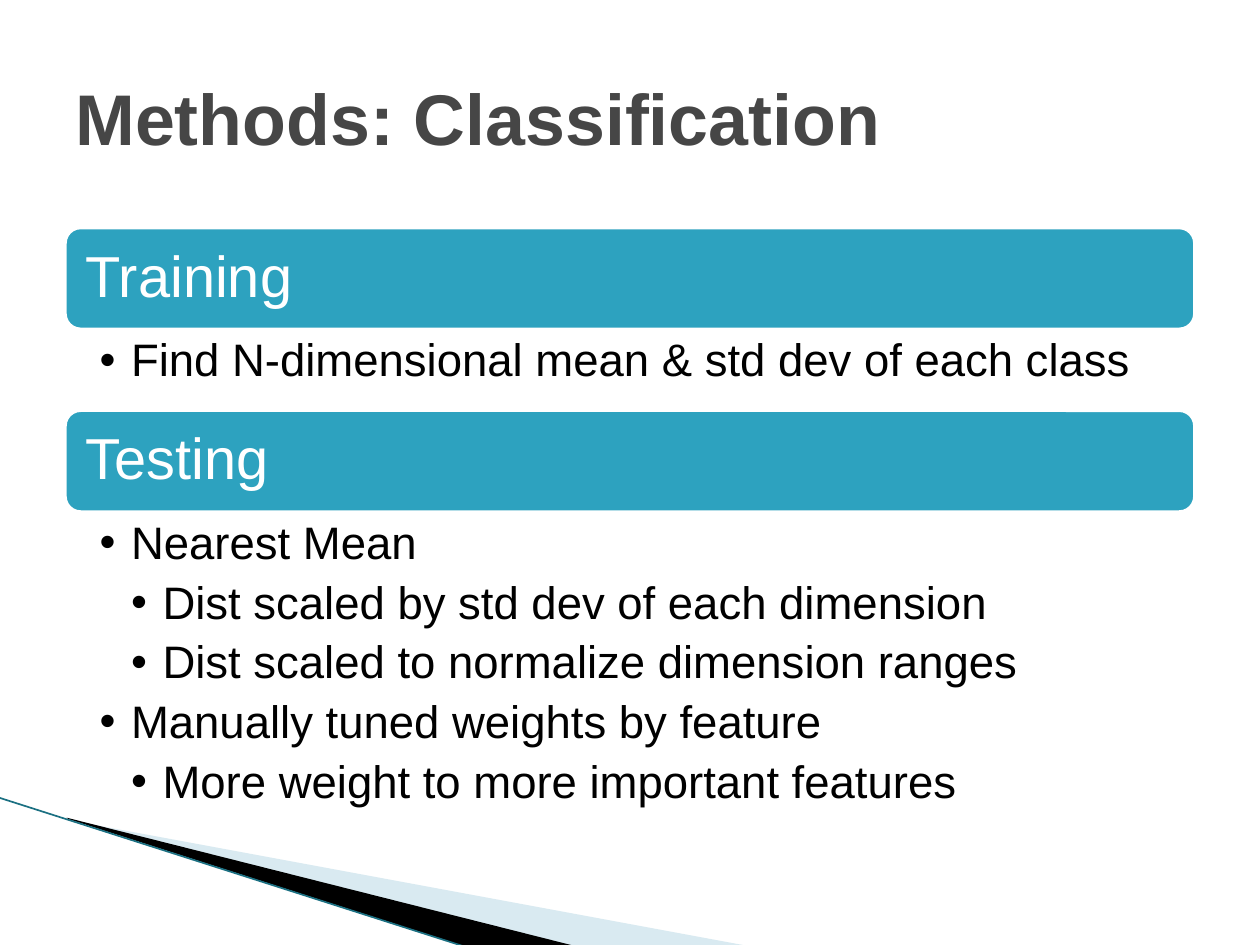
"""Build the classification methods slide with training and testing sections."""
from lxml import etree
from pptx import Presentation
from pptx.dml.color import RGBColor
from pptx.enum import shapes, text
from pptx.oxml.ns import qn
from pptx.util import Inches, Pt

WHITE = RGBColor(0xFF, 0xFF, 0xFF)
BLACK = RGBColor(0, 0, 0)
GRAY = RGBColor(0x46, 0x46, 0x46)
TEAL = RGBColor(0x2D, 0xA2, 0xBF)
DARK_TEAL = RGBColor(0x1B, 0x70, 0x82)
PALE_BLUE = RGBColor(0xA0, 0xCB, 0xDC)

LEFT, WIDTH, BAR_HEIGHT = Inches(0.5), Inches(9), Inches(0.84)
INDENT = Inches(0.25)


def style_text(paragraph, size, color, bold=False):
    font = paragraph.runs[0].font
    font.name = "Arial"
    font.size = Pt(size)
    font.bold = bold
    font.color.rgb = color


def set_margins(frame, left, right, vertical):
    frame.word_wrap = True
    frame.margin_left, frame.margin_right = Inches(left), Inches(right)
    frame.margin_top = frame.margin_bottom = Inches(vertical)


presentation = Presentation()
presentation.slide_width = Inches(10)
presentation.slide_height = Inches(7.5)
slide = presentation.slides.add_slide(presentation.slide_layouts[6])

wedges = [
    (PALE_BLUE, 40, [(0.55, 6.51), (5.95, 7.51), (4.56, 7.51), (0.55, 6.5)]),
    (BLACK, 100, [(0.53, 6.49), (4.57, 7.51), (3.72, 7.52), (0.54, 6.5)]),
]
for color, opacity, points in wedges:
    corners = [(Inches(x), Inches(y)) for x, y in points]
    builder = slide.shapes.build_freeform(*corners[0])
    builder.add_line_segments(corners[1:], close=True)
    wedge = builder.convert_to_shape()
    wedge.shadow.inherit = False
    wedge.fill.solid()
    wedge.fill.fore_color.rgb = color
    wedge.line.fill.background()
    if opacity < 100:
        fill_color = wedge._element.spPr.find(qn("a:solidFill"))[0]
        etree.SubElement(fill_color, qn("a:alpha"), val=str(opacity * 1000))

edge = slide.shapes.add_connector(
    shapes.MSO_CONNECTOR.STRAIGHT,
    Inches(-0.01), Inches(6.33), Inches(3.71), Inches(7.52))
edge.line.color.rgb = DARK_TEAL
edge.line.width = Pt(0.95)
etree.SubElement(edge._element.spPr, qn("a:effectLst"))

sections = [
    ("Training", 1.79, 0.6, [
        (1, "Find N-dimensional mean & std dev of each class"),
    ]),
    ("Testing", 3.24, 2.32, [
        (1, "Nearest Mean"),
        (2, "Dist scaled by std dev of each dimension"),
        (2, "Dist scaled to normalize dimension ranges"),
        (1, "Manually tuned weights by feature"),
        (2, "More weight to more important features"),
    ]),
]
for heading, top, body_height, items in sections:
    bar = slide.shapes.add_shape(
        shapes.MSO_SHAPE.ROUNDED_RECTANGLE, LEFT, Inches(top), WIDTH, BAR_HEIGHT)
    bar.shadow.inherit = False
    bar.fill.solid()
    bar.fill.fore_color.rgb = TEAL
    bar.line.color.rgb = WHITE
    bar.line.width = Pt(4.33)
    frame = bar.text_frame
    set_margins(frame, 0.14, 0.14, 0.14)
    frame.vertical_anchor = text.MSO_ANCHOR.MIDDLE
    frame.text = heading
    paragraph = frame.paragraphs[0]
    paragraph.alignment = text.PP_ALIGN.LEFT
    paragraph.line_spacing = 0.9
    style_text(paragraph, 33, WHITE)

    body = slide.shapes.add_textbox(
        LEFT, Inches(top) + BAR_HEIGHT, WIDTH, Inches(body_height))
    frame = body.text_frame
    set_margins(frame, 0.29, 0.26, 0.05)
    frame.text = "\n".join(item for level, item in items)
    for paragraph, (level, item) in zip(frame.paragraphs, items):
        paragraph.level = level
        paragraph.line_spacing = 0.9
        paragraph.space_after = Pt(6)
        style_text(paragraph, 26, BLACK)
        properties = paragraph._p.get_or_add_pPr()
        properties.set("marL", str(level * INDENT))
        properties.set("indent", str(-INDENT))
        etree.SubElement(properties, qn("a:buFont"), typeface="Arial")
        etree.SubElement(properties, qn("a:buChar"), char="•")

title = slide.shapes.add_textbox(LEFT, Inches(0.3), WIDTH, Inches(1.25))
frame = title.text_frame
set_margins(frame, 0.1, 0.1, 0.05)
frame.vertical_anchor = text.MSO_ANCHOR.MIDDLE
frame.text = "Methods: Classification"
style_text(frame.paragraphs[0], 41, GRAY, bold=True)

presentation.save("out.pptx")
